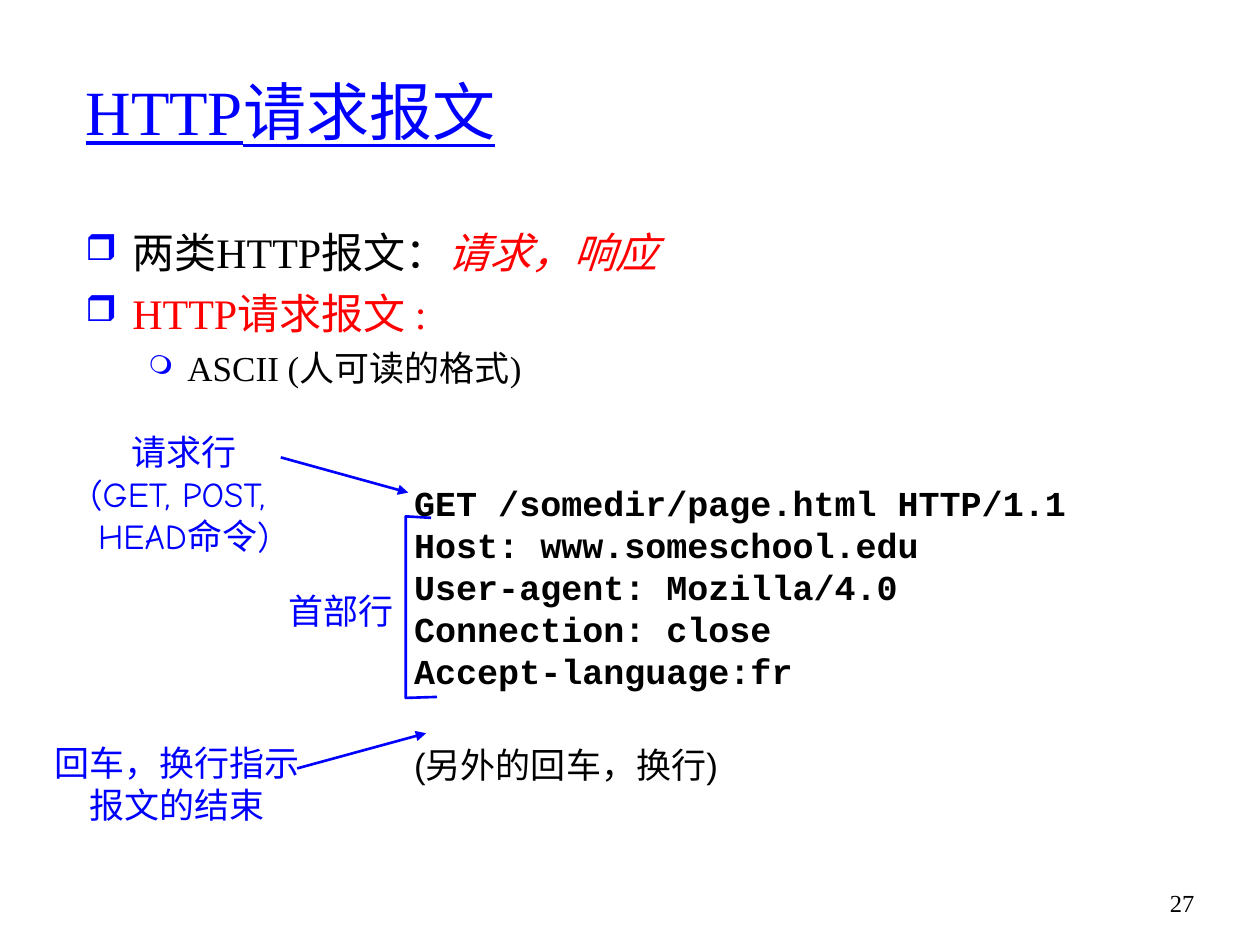
"""Build a slide that explains the HTTP request message."""
from dataclasses import dataclass
from typing import Optional

from lxml import etree
from pptx import Presentation
from pptx.dml.color import RGBColor
from pptx.enum.shapes import MSO_CONNECTOR
from pptx.enum.text import MSO_ANCHOR, MSO_AUTO_SIZE, PP_ALIGN
from pptx.oxml.ns import qn
from pptx.util import Cm, Pt

LEFT, CENTER, RIGHT = PP_ALIGN.LEFT, PP_ALIGN.CENTER, PP_ALIGN.RIGHT
TOP, MIDDLE = MSO_ANCHOR.TOP, MSO_ANCHOR.MIDDLE
FIXED, GROW = MSO_AUTO_SIZE.NONE, MSO_AUTO_SIZE.SHAPE_TO_FIT_TEXT
STRAIGHT = MSO_CONNECTOR.STRAIGHT

COLORS = {"blue": "0000FF", "red": "FF0000", "black": "000000"}
SERIF, LABEL_FONT, CODE_FONT, SANS = "Times New Roman", "Comic Neue", "Courier New", "Arial"
TITLE_ONLY = 5
LINE_WIDTH = Pt(1.5)


@dataclass
class Bullet:
    symbol: str
    percent: int
    margin: float
    hanging: float


@dataclass
class Label:
    lines: list[str]
    box: tuple[float, float, float, float]
    align: PP_ALIGN = CENTER
    wrap: bool = False


@dataclass
class Arrow:
    start: tuple[float, float]
    end: tuple[float, float]


SQUARE = Bullet("❒", 85, 0.95, 0.95)
CIRCLE = Bullet("❍", 75, 2.06, 0.79)

CODE_LINES = [
    "GET /somedir/page.html HTTP/1.1",
    "Host: www.someschool.edu",
    "User-agent: Mozilla/4.0",
    "Connection: close",
    "Accept-language:fr",
]
LABELS = [
    Label(["请求行", "(GET, POST, ", "HEAD命令)"], (1.52, 8.56, 4.37, 2.79)),
    Label(["首部行"], (5.56, 11.76, 2.62, 1.12), align=RIGHT),
    Label(["回车，换行指示报文的结束"], (0.56, 14.83, 6.02, 1.96), wrap=True),
]
ARROWS = [
    Arrow((5.66, 9.22), (8.23, 9.93)),
    Arrow((5.99, 15.49), (8.59, 14.78)),
]
BRACKET = [(8.69, 10.44), (8.18, 10.41), (8.18, 14.07), (8.81, 14.05)]


def color(name: str) -> RGBColor:
    """Return the named colour."""
    return RGBColor.from_string(COLORS[name])


def add_text(paragraph, text: str, *, size: float, font: str = SERIF, fill: str = "black",
             bold: bool = False, italic: bool = False, underline: bool = False) -> None:
    """Add one formatted run to a paragraph."""
    run = paragraph.add_run()
    run.text = text
    run.font.size, run.font.name = Pt(size), font
    run.font.bold, run.font.italic, run.font.underline = bold, italic, underline
    run.font.color.rgb = color(fill)


def set_frame(shape, *, anchor: MSO_ANCHOR = TOP, wrap: bool = True,
              auto_size: MSO_AUTO_SIZE = FIXED):
    """Set the text layout of a shape and return its frame."""
    frame = shape.text_frame
    frame.word_wrap, frame.auto_size, frame.vertical_anchor = wrap, auto_size, anchor
    return frame


def add_box(slide, box: tuple[float, float, float, float], **layout):
    """Add a text box and return its frame."""
    return set_frame(slide.shapes.add_textbox(*map(Cm, box)), **layout)


def next_paragraph(frame, align: PP_ALIGN = LEFT, before: float = 0,
                   bullet: Optional[Bullet] = None):
    """Return the empty first paragraph of a frame or a new one."""
    first = frame.paragraphs[0]
    paragraph = frame.add_paragraph() if first.runs else first
    paragraph.alignment, paragraph.space_before = align, Pt(before)
    if bullet:
        properties = paragraph._p.get_or_add_pPr()
        properties.set("marL", str(Cm(bullet.margin)))
        properties.set("indent", str(-Cm(bullet.hanging)))
        bullet_color = etree.SubElement(properties, qn("a:buClr"))
        etree.SubElement(bullet_color, qn("a:srgbClr"), val=COLORS["blue"])
        etree.SubElement(properties, qn("a:buSzPct"), val=str(bullet.percent * 1000))
        etree.SubElement(properties, qn("a:buChar"), char=bullet.symbol)
    return paragraph


def add_title(slide) -> None:
    """Place and fill the title."""
    title = slide.shapes.title
    title.left, title.top, title.width, title.height = map(Cm, (1.47, 0.64, 21.59, 3.18))
    paragraph = next_paragraph(set_frame(title, anchor=MIDDLE))
    add_text(paragraph, "HTTP请求报文", size=36, fill="blue", underline=True)


def add_body(slide) -> None:
    """Add the bulleted points."""
    frame = add_box(slide, (1.47, 4.45, 21.59, 12.9))
    kinds = next_paragraph(frame, bullet=SQUARE)
    add_text(kinds, "两类HTTP报文：", size=24)
    add_text(kinds, "请求，响应", size=24, fill="red", italic=True)
    request = next_paragraph(frame, before=6, bullet=SQUARE)
    add_text(request, "HTTP请求报文 :", size=24, fill="red")
    readable = next_paragraph(frame, before=5, bullet=CIRCLE)
    add_text(readable, "ASCII (人可读的格式)", size=20)


def add_message(slide) -> None:
    """Add the sample request message and its closing remark."""
    frame = add_box(slide, (8.1, 9.58, 13.67, 6.53), wrap=False, auto_size=GROW)
    for line in CODE_LINES:
        add_text(next_paragraph(frame), line, size=20, font=CODE_FONT, bold=True)
    add_text(next_paragraph(frame, before=30), "(另外的回车，换行)", size=20, font=SANS)


def add_label(slide, label: Label) -> None:
    """Add a blue label beside the message."""
    frame = add_box(slide, label.box, wrap=label.wrap, auto_size=GROW)
    for line in label.lines:
        add_text(next_paragraph(frame, label.align), line, size=20, font=LABEL_FONT, fill="blue")


def add_arrow(slide, arrow: Arrow) -> None:
    """Add a blue arrow from a label to the message."""
    connector = slide.shapes.add_connector(STRAIGHT, *map(Cm, arrow.start + arrow.end))
    connector.line.color.rgb, connector.line.width = color("blue"), LINE_WIDTH
    etree.SubElement(connector.line._get_or_add_ln(), qn("a:tailEnd"), type="triangle")
    etree.SubElement(connector._element.spPr, qn("a:effectLst"))


def add_bracket(slide) -> None:
    """Add the bracket around the header lines."""
    points = [(Cm(x), Cm(y)) for x, y in BRACKET]
    builder = slide.shapes.build_freeform(*points[0])
    builder.add_line_segments(points[1:], close=False)
    bracket = builder.convert_to_shape()
    bracket.shadow.inherit = False
    bracket.fill.background()
    bracket.line.color.rgb, bracket.line.width = color("blue"), LINE_WIDTH


def main() -> None:
    """Build and save the presentation."""
    presentation = Presentation()
    presentation.slide_width, presentation.slide_height = Cm(25.4), Cm(19.05)
    slide = presentation.slides.add_slide(presentation.slide_layouts[TITLE_ONLY])
    add_title(slide)
    add_body(slide)
    add_message(slide)
    for label in LABELS:
        add_label(slide, label)
    for arrow in ARROWS:
        add_arrow(slide, arrow)
    add_bracket(slide)
    number = add_box(slide, (23.06, 17.78, 1.27, 1.27))
    add_text(next_paragraph(number, RIGHT), "27", size=14)
    presentation.save("out.pptx")


if __name__ == "__main__":
    main()
